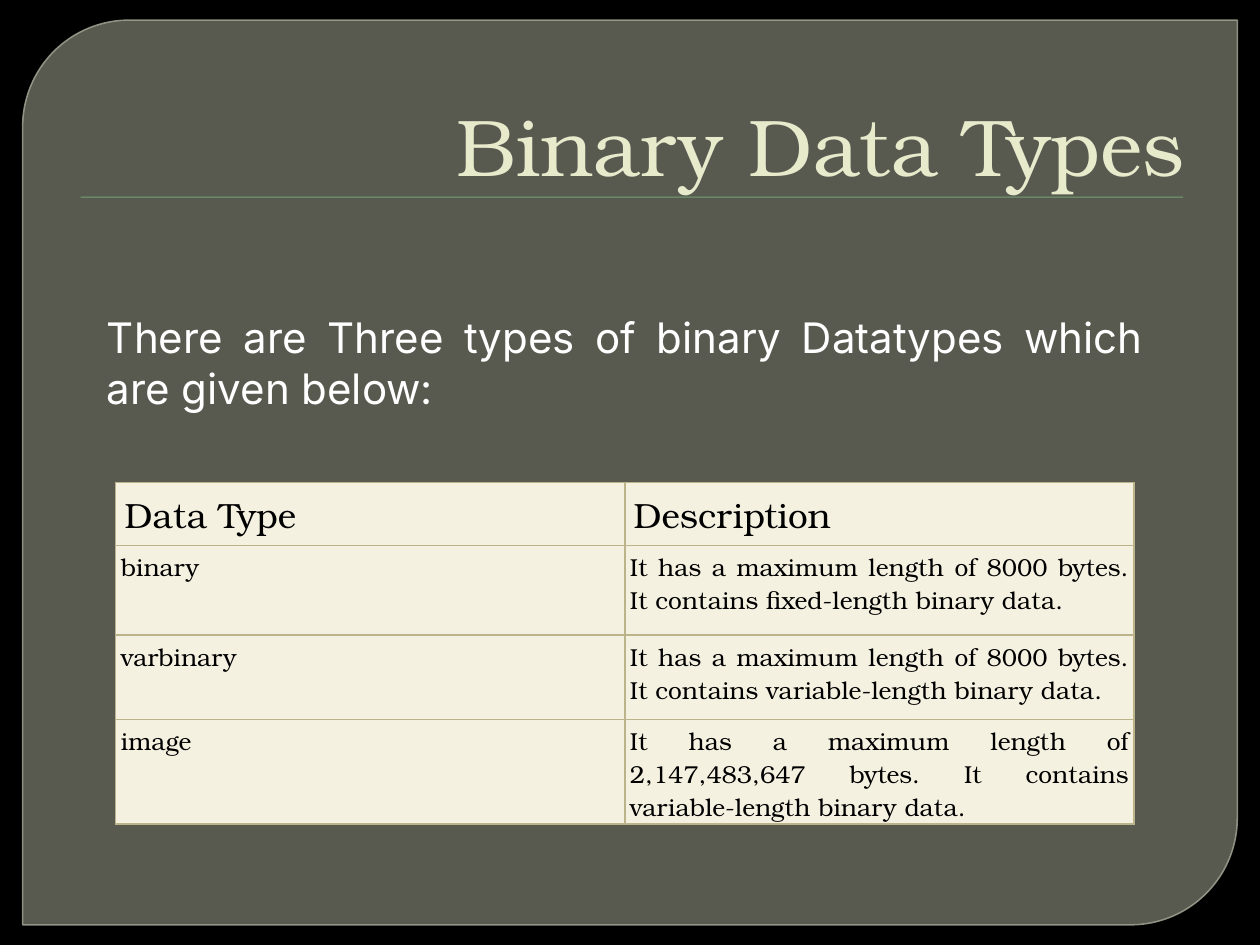
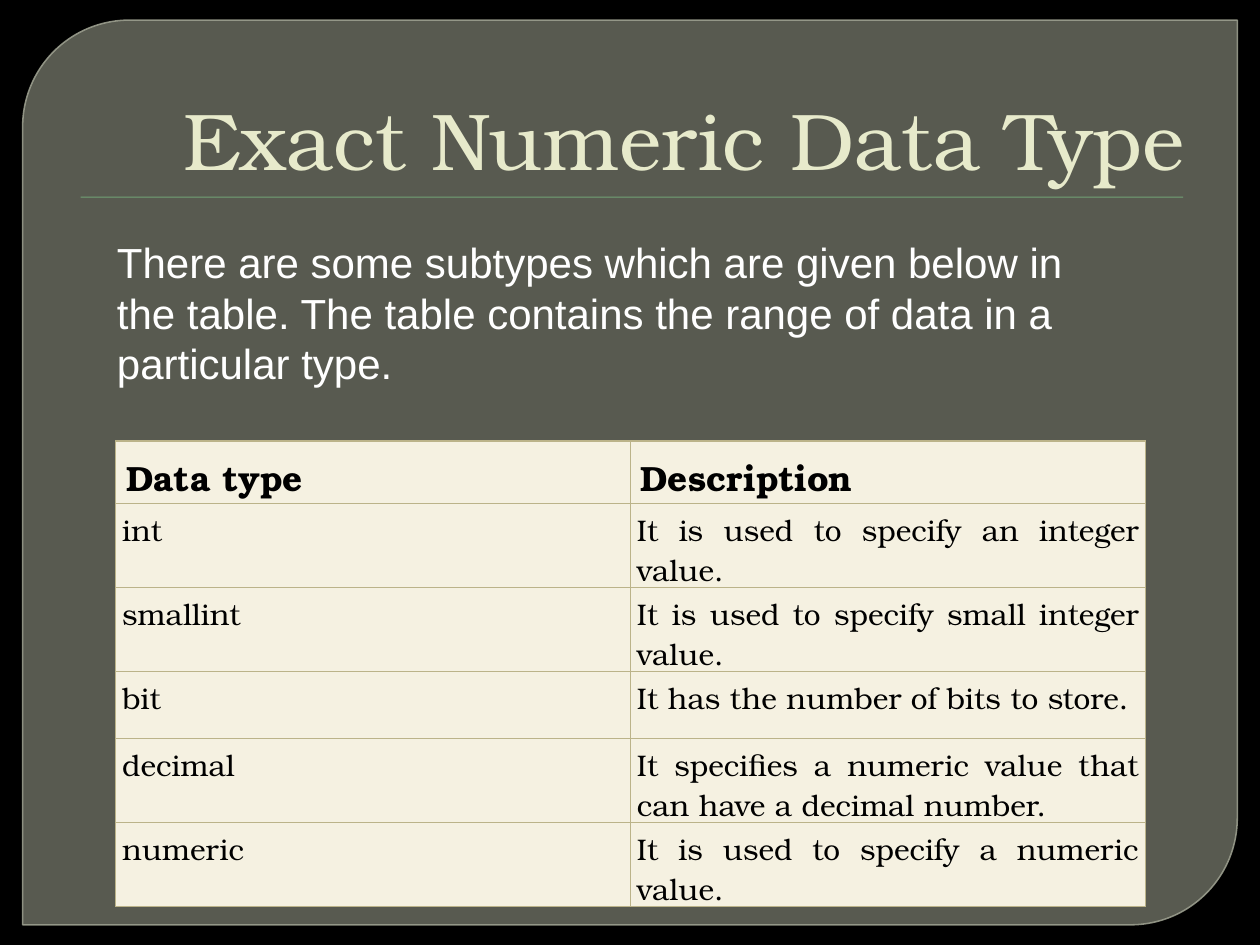
"""Build two slides that describe SQL data types."""

from dataclasses import dataclass

from pptx import Presentation
from pptx.dml.color import RGBColor
from pptx.enum.shapes import MSO_SHAPE
from pptx.enum.text import MSO_ANCHOR, MSO_AUTO_SIZE, PP_ALIGN
from pptx.oxml.ns import qn
from pptx.oxml.xmlchemy import OxmlElement
from pptx.presentation import Presentation as Deck
from pptx.shapes.autoshape import Shape
from pptx.slide import Slide
from pptx.table import _Cell
from pptx.text.text import _Paragraph
from pptx.util import Inches, Pt

BLACK = RGBColor(0x00, 0x00, 0x00)
WHITE = RGBColor(0xFF, 0xFF, 0xFF)
PANEL = RGBColor(0x88, 0x8B, 0x7B)
PANEL_EDGE = RGBColor(0x9D, 0xA0, 0x90)
RULE = RGBColor(0x72, 0xA3, 0x76)
TITLE = RGBColor(0xE7, 0xEA, 0xCB)
CELL = RGBColor(0xF5, 0xF1, 0xE1)
GRID = RGBColor(0xBB, 0xB3, 0x89)

SERIF = "TeX Gyre Bonum"
TITLE_ONLY = 5
LEFT, RIGHT, JUSTIFY = PP_ALIGN.LEFT, PP_ALIGN.RIGHT, PP_ALIGN.JUSTIFY
TOP, MIDDLE, BOTTOM = MSO_ANCHOR.TOP, MSO_ANCHOR.MIDDLE, MSO_ANCHOR.BOTTOM
FIT_SHAPE, NO_FIT = MSO_AUTO_SIZE.SHAPE_TO_FIT_TEXT, MSO_AUTO_SIZE.NONE
RECTANGLE, DIAGONAL_ROUND = MSO_SHAPE.RECTANGLE, MSO_SHAPE.ROUND_2_DIAG_RECTANGLE

Box = tuple[float, float, float, float]


@dataclass(frozen=True)
class Intro:
    """Paragraph above the table."""

    text: str
    box: Box
    font: str
    align: PP_ALIGN
    anchor: MSO_ANCHOR


@dataclass(frozen=True)
class TypeTable:
    """Table of type names and descriptions, header row first."""

    box: Box
    row_heights: tuple[float, ...]
    rows: tuple[tuple[str, str], ...]
    header_bold: bool
    header_inset: float
    body_inset: float
    body_size: int


@dataclass(frozen=True)
class TypeSlide:
    """Content of one slide."""

    title: str
    title_top: float
    intro: Intro
    table: TypeTable


SLIDES = (
    TypeSlide(
        "Binary Data Types",
        0.33,
        Intro(
            "There are Three types of binary Datatypes which are given below:",
            (0.75, 2.42, 8.42, 0.91), "Inter", JUSTIFY, MIDDLE,
        ),
        TypeTable(
            (0.92, 3.83, 8.08, 2.71),
            (0.5, 0.71, 0.67, 0.83),
            (
                ("Data Type", "Description"),
                ("binary", "It has a maximum length of 8000 bytes. "
                           "It contains fixed-length binary data."),
                ("varbinary", "It has a maximum length of 8000 bytes. "
                              "It contains variable-length binary data."),
                ("image", "It has a maximum length of 2,147,483,647 bytes. "
                          "It contains variable-length binary data."),
            ),
            header_bold=False, header_inset=0.07, body_inset=0.04, body_size=14,
        ),
    ),
    TypeSlide(
        "Exact Numeric Data Type",
        0.28,
        Intro(
            "There are some subtypes which are given below in the table. "
            "The table contains the range of data in a particular type.",
            (0.83, 1.83, 8.25, 1.31), "Arial", LEFT, TOP,
        ),
        TypeTable(
            (0.92, 3.5, 8.17, 3.42),
            (0.41, 0.53, 0.62, 0.53, 0.66, 0.53),
            (
                ("Data type", "Description"),
                ("int", "It is used to specify an integer value."),
                ("smallint", "It is used to specify small integer value."),
                ("bit", "It has the number of bits to store."),
                ("decimal", "It specifies a numeric value that can have a decimal number."),
                ("numeric", "It is used to specify a numeric value."),
            ),
            header_bold=True, header_inset=0.08, body_inset=0.05, body_size=17,
        ),
    ),
)


def inches(box: Box) -> list[Inches]:
    """Convert a box to lengths."""
    return [Inches(v) for v in box]


def set_alpha(color_parent, percent: int) -> None:
    """Set the opacity of a solid fill."""
    alpha = OxmlElement("a:alpha")
    alpha.set("val", str(percent * 1000))
    color_parent.find(qn("a:solidFill"))[0].append(alpha)


def style_paragraph(p: _Paragraph, text: str, font: str, size: int,
                    color: RGBColor, align: PP_ALIGN, bold: bool = False) -> None:
    """Write a paragraph in one style."""
    p.text = text
    p.alignment = align
    p.font.name = font
    p.font.size = Pt(size)
    p.font.bold = bold
    p.font.color.rgb = color


def add_backdrop_shape(s: Slide, kind: MSO_SHAPE, box: Box, color: RGBColor) -> Shape:
    """Add a filled shape without line or shadow."""
    sp = s.shapes.add_shape(kind, *inches(box))
    sp.shadow.inherit = False
    sp.fill.solid()
    sp.fill.fore_color.rgb = color
    sp.line.fill.background()
    return sp


def add_backdrop(s: Slide) -> None:
    """Draw the background, rounded panel and title rule behind the title."""
    s.background.fill.solid()
    s.background.fill.fore_color.rgb = BLACK
    panel = add_backdrop_shape(s, DIAGONAL_ROUND, (0.18, 0.16, 9.64, 7.18), PANEL)
    panel.adjustments[0] = 0.118
    panel.adjustments[1] = 0
    panel.line.color.rgb = PANEL_EDGE
    panel.line.width = Pt(0.87)
    set_alpha(panel.element.spPr, 65)
    set_alpha(panel.element.spPr.find(qn("a:ln")), 88)
    add_backdrop_shape(s, RECTANGLE, (0.64, 1.56, 8.75, 0.01), RULE)
    title = s.shapes.title.element
    title.getparent().append(title)


def format_title(s: Slide, text: str, top: float) -> None:
    """Place and format the title placeholder."""
    sp = s.shapes.title
    sp.left, sp.top, sp.width, sp.height = inches((0.5, top, 9, 1.25))
    tf = sp.text_frame
    tf.word_wrap = True
    tf.auto_size = NO_FIT
    tf.vertical_anchor = BOTTOM
    style_paragraph(tf.paragraphs[0], text, SERIF, 46, TITLE, RIGHT)


def add_intro(s: Slide, intro: Intro) -> None:
    """Add the introductory text."""
    tf = s.shapes.add_textbox(*inches(intro.box)).text_frame
    tf.word_wrap = True
    tf.auto_size = FIT_SHAPE
    tf.vertical_anchor = intro.anchor
    style_paragraph(tf.paragraphs[0], intro.text, intro.font, 24, WHITE, intro.align)


def format_cell(cell: _Cell, inset: float) -> None:
    """Give a cell its margins, borders and fill."""
    margin = Inches(inset)
    cell.margin_left = cell.margin_right = margin
    cell.margin_top = cell.margin_bottom = margin
    tc_pr = cell._tc.get_or_add_tcPr()
    for side in "LRTB":
        ln = OxmlElement(f"a:ln{side}")
        ln.set("w", str(Pt(0.75)))
        fill = OxmlElement("a:solidFill")
        color = OxmlElement("a:srgbClr")
        color.set("val", str(GRID))
        fill.append(color)
        ln.append(fill)
        tc_pr.append(ln)
    cell.fill.solid()
    cell.fill.fore_color.rgb = CELL


def add_type_table(s: Slide, spec_table: TypeTable) -> None:
    """Add a two-column table of data types."""
    table = s.shapes.add_table(len(spec_table.rows), 2, *inches(spec_table.box)).table
    table.first_row = table.horz_banding = False
    for i, (height, texts) in enumerate(zip(spec_table.row_heights, spec_table.rows)):
        table.rows[i].height = Inches(height)
        header = i == 0
        for j, text in enumerate(texts):
            cell = table.cell(i, j)
            format_cell(cell, spec_table.header_inset if header else spec_table.body_inset)
            style_paragraph(
                cell.text_frame.paragraphs[0], text, SERIF,
                20 if header else spec_table.body_size, BLACK,
                LEFT if header else JUSTIFY, header and spec_table.header_bold,
            )


def add_type_slide(prs: Deck, content: TypeSlide) -> None:
    """Add one complete slide."""
    s = prs.slides.add_slide(prs.slide_layouts[TITLE_ONLY])
    add_backdrop(s)
    format_title(s, content.title, content.title_top)
    add_intro(s, content.intro)
    add_type_table(s, content.table)


def main() -> None:
    """Build and save the presentation."""
    prs = Presentation()
    prs.slide_width, prs.slide_height = Inches(10), Inches(7.5)
    for content in SLIDES:
        add_type_slide(prs, content)
    prs.save("out.pptx")


if __name__ == "__main__":
    main()
